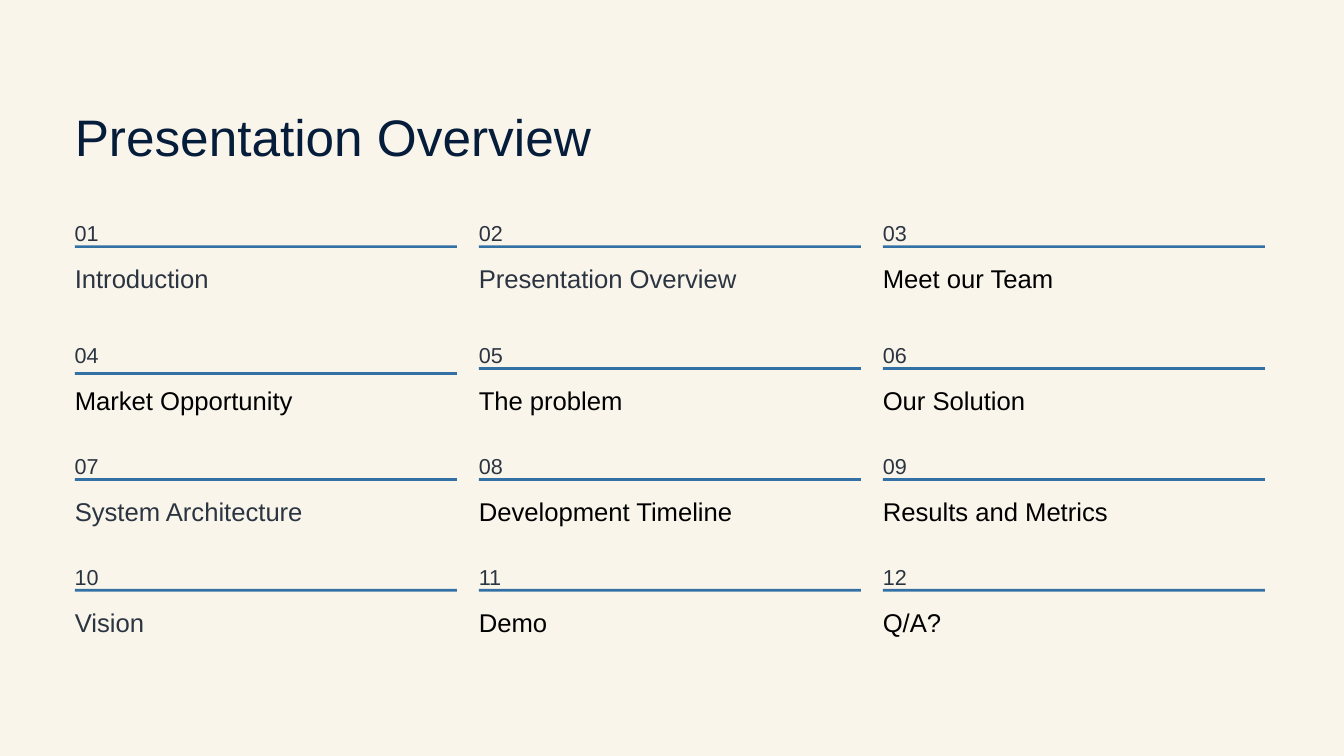
from pptx import Presentation
from pptx.dml.color import RGBColor
from pptx.enum.shapes import MSO_SHAPE
from pptx.enum.text import MSO_ANCHOR, MSO_AUTO_SIZE, PP_ALIGN
from pptx.util import Pt

RECTANGLE = MSO_SHAPE.RECTANGLE
TOP = MSO_ANCHOR.TOP
NO_AUTOFIT = MSO_AUTO_SIZE.NONE
LEFT = PP_ALIGN.LEFT

TITLE = "Presentation Overview"
# Each topic with the name of its text style
TOPICS = [
    ("Introduction", "muted"),
    ("Presentation Overview", "muted"),
    ("Meet our Team", "strong"),
    ("Market Opportunity", "strong"),
    ("The problem", "strong"),
    ("Our Solution", "strong"),
    ("System Architecture", "muted"),
    ("Development Timeline", "strong"),
    ("Results and Metrics", "strong"),
    ("Vision", "muted"),
    ("Demo", "strong"),
    ("Q/A?", "strong"),
]

THEME = {
    "font": "Arial",
    "background": RGBColor(0xFA, 0xF5, 0xEB),
    "rule": RGBColor(0x33, 0x71, 0xA5),
    "title": {"size": 44, "spacing": 55, "color": RGBColor(0x05, 0x1D, 0x3A)},
    "number": {"size": 18.5, "spacing": 30, "color": RGBColor(0x2B, 0x35, 0x41)},
    "muted": {"size": 22, "spacing": 27.5, "color": RGBColor(0x2B, 0x35, 0x41)},
    "strong": {"size": 22, "spacing": 27.5, "color": RGBColor(0, 0, 0)},
}

SLIDE_SIZE = (1152, 648)
MARGIN = 64.1
COLUMNS = 3
COLUMN_PITCH = 346.3
ROW_TOPS = [180.7, 285.1, 380.2, 475.2]
RULE_SIZE = (327.6, 2.3)
RULE_OFFSET = 29.6
LOWERED_RULES = {4: 4.3}  # topic number: extra distance down
LABEL_OFFSET = 43.9


def write_text(shape, text, style):
    frame = shape.text_frame
    frame_format = {
        "margin_left": 0, "margin_top": 0, "margin_right": 0, "margin_bottom": 0,
        "word_wrap": False, "auto_size": NO_AUTOFIT, "vertical_anchor": TOP,
    }
    for name, value in frame_format.items():
        setattr(frame, name, value)
    paragraph = frame.paragraphs[0]
    paragraph.alignment = LEFT
    paragraph.line_spacing = Pt(style["spacing"])
    run = paragraph.add_run()
    run.text = text
    run.font.name = THEME["font"]
    run.font.size = Pt(style["size"])
    run.font.color.rgb = style["color"]


def add_text(slide, text, style, left, top, width, height):
    box = slide.shapes.add_textbox(Pt(left), Pt(top), Pt(width), Pt(height))
    write_text(box, text, style)


def add_rule(slide, left, top):
    width, height = RULE_SIZE
    rule = slide.shapes.add_shape(RECTANGLE, Pt(left), Pt(top), Pt(width), Pt(height))
    rule.shadow.inherit = False
    rule.fill.solid()
    rule.fill.fore_color.rgb = THEME["rule"]
    rule.line.fill.background()


def add_title(slide):
    title = slide.shapes.title
    place = {"left": MARGIN, "top": 87.8, "width": 475.2, "height": 55.4}
    for name, value in place.items():
        setattr(title, name, Pt(value))
    write_text(title, TITLE, THEME["title"])


def add_topic(slide, number, label, style_name):
    row, column = divmod(number - 1, COLUMNS)
    left = MARGIN + column * COLUMN_PITCH
    top = ROW_TOPS[row]
    add_text(slide, f"{number:02d}", THEME["number"], left, top, 36, 27)
    add_rule(slide, left, top + RULE_OFFSET + LOWERED_RULES.get(number, 0))
    add_text(slide, label, THEME[style_name], left, top + LABEL_OFFSET, 221.8, 27.4)


def main():
    presentation = Presentation()
    presentation.slide_width, presentation.slide_height = map(Pt, SLIDE_SIZE)
    title_only = presentation.slide_layouts[5]
    slide = presentation.slides.add_slide(title_only)
    slide.background.fill.solid()
    slide.background.fill.fore_color.rgb = THEME["background"]
    add_title(slide)
    for number, (label, style_name) in enumerate(TOPICS, start=1):
        add_topic(slide, number, label, style_name)
    presentation.save("out.pptx")


if __name__ == "__main__":
    main()
